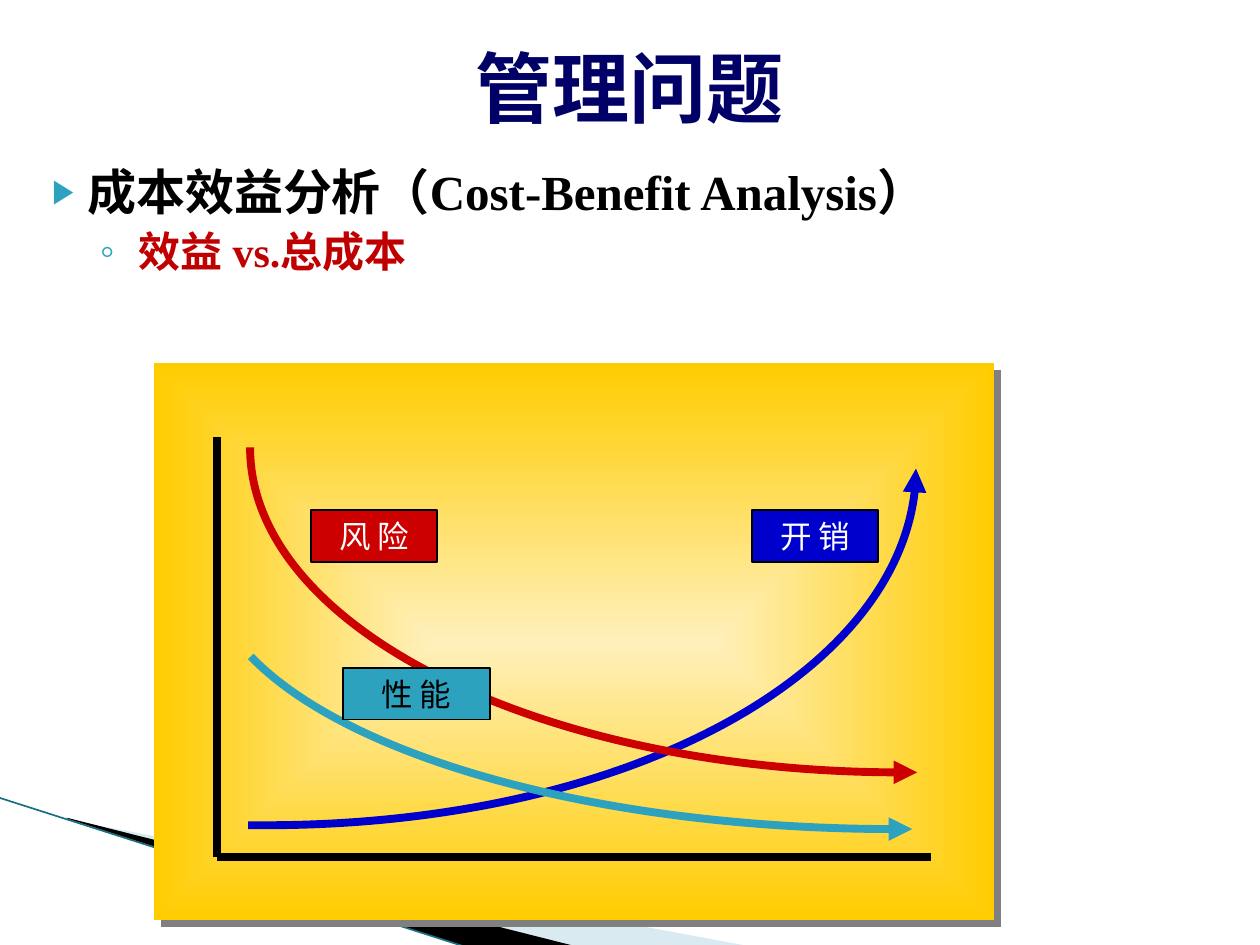
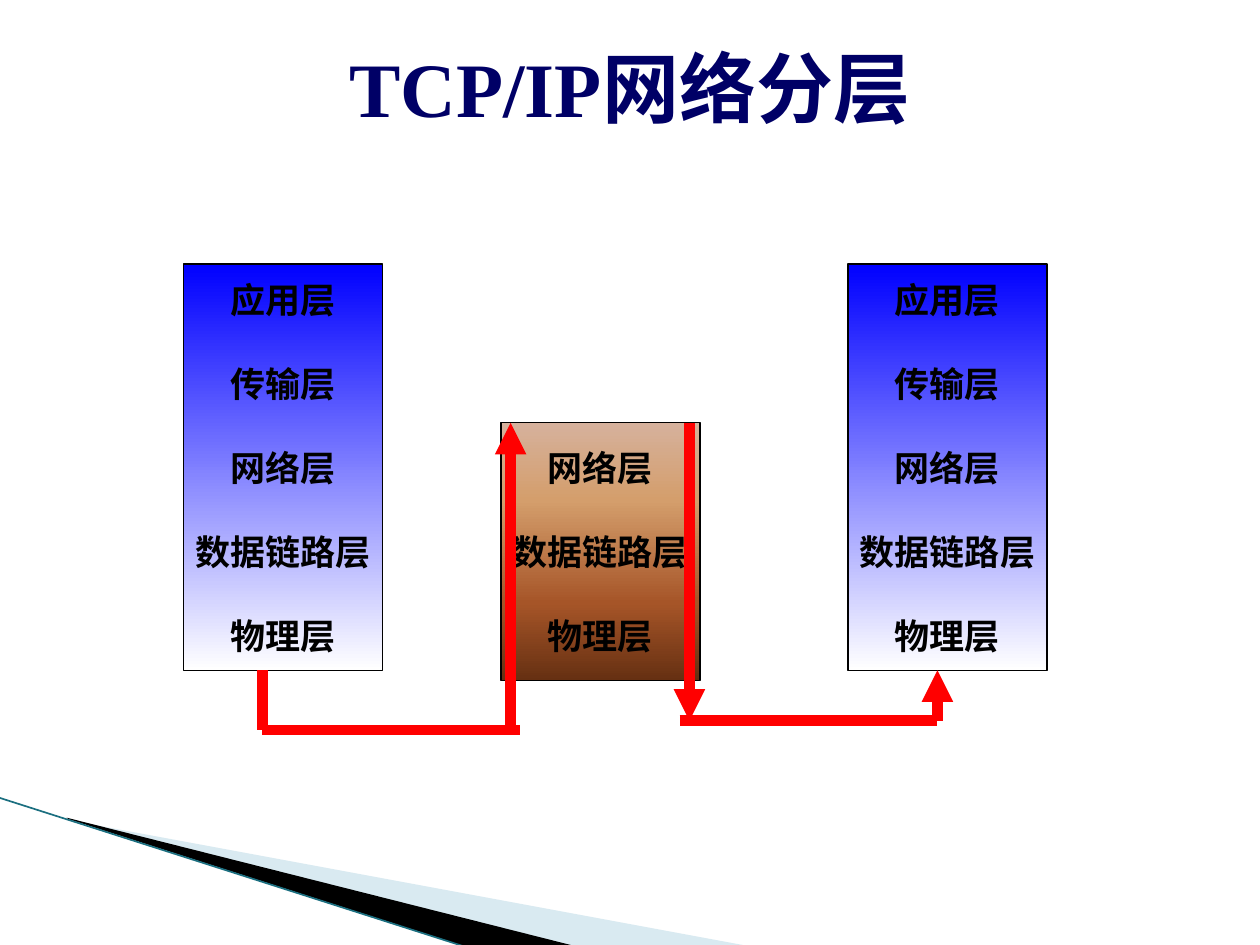
from dataclasses import dataclass
from typing import Any, Optional

from pptx import Presentation
from pptx.dml.color import RGBColor
from pptx.enum.shapes import MSO_CONNECTOR, MSO_SHAPE
from pptx.enum.text import MSO_ANCHOR, PP_ALIGN
from pptx.oxml import parse_xml
from pptx.oxml.ns import nsdecls, qn
from pptx.oxml.xmlchemy import OxmlElement
from pptx.util import Emu, Inches, Pt

SLIDE_WIDTH = Inches(10)
SLIDE_HEIGHT = Inches(7.5)
COLUMNS = 100
ROWS = 75

RECTANGLE = MSO_SHAPE.RECTANGLE
STRAIGHT = MSO_CONNECTOR.STRAIGHT
MIDDLE = MSO_ANCHOR.MIDDLE
TOP = MSO_ANCHOR.TOP
CENTER = PP_ALIGN.CENTER
LEFT = PP_ALIGN.LEFT

BLACK = RGBColor(0x00, 0x00, 0x00)
WHITE = RGBColor(0xFF, 0xFF, 0xFF)
NAVY = RGBColor(0x00, 0x00, 0x66)
TEAL = RGBColor(0x2D, 0xA2, 0xBF)
DARK_TEAL = RGBColor(0x1B, 0x6F, 0x80)
PALE_BLUE = RGBColor(0xA0, 0xCB, 0xDC)
CRIMSON = RGBColor(0xC0, 0x00, 0x00)
COST_BLUE = RGBColor(0x00, 0x00, 0xCC)
RISK_RED = RGBColor(0xCC, 0x00, 0x00)
ROUTE_RED = RGBColor(0xFF, 0x00, 0x00)
SHADOW_GRAY = RGBColor(0x80, 0x80, 0x80)
CREAM = RGBColor(0xFF, 0xF0, 0xBB)
GOLD = RGBColor(0xFF, 0xCC, 0x00)
HOST_BLUE = RGBColor(0x00, 0x00, 0xFF)
SAND = RGBColor(0xD6, 0xB1, 0x9C)
TAN = RGBColor(0xD4, 0x9E, 0x6C)
RUST = RGBColor(0xA6, 0x55, 0x28)
BROWN = RGBColor(0x66, 0x30, 0x12)

SERIF = "Times New Roman"
MONO = "Courier New"
SANS = "Arial"
COMIC = "Comic Neue"

LAYERS = ("应用层", "传输层", "网络层", "数据链路层", "物理层")
LINEAR = '<a:lin ang="5400000" scaled="1"/>'
FROM_CENTER = ('<a:path path="shape"><a:fillToRect l="50000" t="50000" '
               'r="50000" b="50000"/></a:path>')
MOVE = "moveTo"
LINE = "lnTo"
CURVE = "cubicBezTo"
CLOSE = "close"

Point = tuple[float, float]
Stops = tuple[tuple[int, RGBColor], ...]
Outline = tuple[tuple[str, tuple[Point, ...]], ...]


@dataclass(frozen=True)
class Box:
    column: float
    row: float
    columns: float
    rows: float

    def place(self) -> tuple[Emu, Emu, Emu, Emu]:
        return (across(self.column), down(self.row),
                across(self.columns), down(self.rows))


@dataclass(frozen=True)
class Bullet:
    character: str
    margin: float
    hanging: float
    percent: int


@dataclass(frozen=True)
class Wedge:
    frame: Box
    corners: tuple[Point, ...]
    color: RGBColor
    opacity: int


@dataclass(frozen=True)
class Trend:
    name: str
    color: RGBColor
    text_color: RGBColor
    label: Box
    frame: Box
    outline: Outline


@dataclass(frozen=True)
class LayerStack:
    box: Box
    layers: tuple[str, ...]
    stops: Stops


@dataclass(frozen=True)
class Segment:
    start: Point
    end: Point
    arrow: bool = False


WEDGES = (
    Wedge(Box(7.8, 54.7, 41.6, 15.8),
          ((5.5, 65.1), (59.5, 75.1), (45.6, 75.1), (5.5, 65)), PALE_BLUE, 40),
    Wedge(Box(-0.6, 63.3, 41.6, 9.2),
          ((5.3, 64.9), (45.7, 75.1), (37.2, 75.2), (5.4, 65)), BLACK, 100),
)
EDGE = Segment((-0.1, 63.3), (37.1, 75.2))

PLOT = Box(12.2, 28.8, 66.7, 44.2)
ORIGIN = (17.2, 68)
AXES = (Segment((17.2, 34.7), ORIGIN), Segment(ORIGIN, (73.9, 68)))
TRENDS = (
    Trend("开 销", COST_BLUE, WHITE, Box(59.7, 40.5, 10, 4.1),
          Box(19.7, 37.2, 53, 28.3),
          ((MOVE, ((19.7, 65.5),)), (LINE, ((21, 65.5),)),
           (CURVE, ((49.6, 65.5), (72.7, 52.8), (72.7, 37.2))))),
    Trend("风 险", RISK_RED, WHITE, Box(24.7, 40.5, 10, 4.1),
          Box(19.85, 35.5, 53, 25.8),
          ((MOVE, ((19.85, 35.5),)),
           (CURVE, ((19.85, 49.8), (43, 61.3), (71.5, 61.3))),
           (LINE, ((72.8, 61.3),)))),
    Trend("性 能", TEAL, BLACK, Box(27.2, 53, 11.7, 4.1),
          Box(19.9, 44.9, 52.5, 20.8),
          ((MOVE, ((19.9, 52.1),)),
           (CURVE, ((27.8, 60.3), (48.2, 65.8), (71, 65.8))),
           (LINE, ((72.4, 65.8),)))),
)

HOST_STOPS = ((0, HOST_BLUE), (100, WHITE))
ROUTER_STOPS = ((0, SAND), (30, TAN), (70, RUST), (100, BROWN))
STACKS = (
    LayerStack(Box(14.55, 20.95, 15.8, 32.25), LAYERS, HOST_STOPS),
    LayerStack(Box(67.3, 20.95, 15.8, 32.25), LAYERS, HOST_STOPS),
    LayerStack(Box(39.75, 33.55, 15.8, 20.45), LAYERS[2:], ROUTER_STOPS),
)
ROUTE = (
    Segment((20.83, 53.2), (20.83, 57.95)),
    Segment((20.83, 57.95), (41.3, 57.95)),
    Segment((40.53, 57.95), (40.53, 33.57), arrow=True),
    Segment((54.72, 33.57), (54.72, 57.2), arrow=True),
    Segment((53.93, 57.2), (74.4, 57.2)),
    Segment((74.4, 57.2), (74.4, 53.2), arrow=True),
)


def across(columns: float) -> Emu:
    return Emu(round(SLIDE_WIDTH * columns / COLUMNS))


def down(rows: float) -> Emu:
    return Emu(round(SLIDE_HEIGHT * rows / ROWS))


def add_arrowhead(line: Any) -> None:
    arrow = OxmlElement("a:tailEnd")
    arrow.set("type", "triangle")
    line._get_or_add_ln().append(arrow)


def add_segment(slide: Any, segment: Segment, color: RGBColor, width: float) -> None:
    connector = slide.shapes.add_connector(
        STRAIGHT, across(segment.start[0]), down(segment.start[1]),
        across(segment.end[0]), down(segment.end[1]))
    connector.line.color.rgb = color
    connector.line.width = Pt(width)
    if segment.arrow:
        add_arrowhead(connector.line)
    connector._element.spPr.append(OxmlElement("a:effectLst"))


def add_outline(slide: Any, frame: Box, outline: Outline) -> Any:
    left, top, width, height = frame.place()
    builder = slide.shapes.build_freeform(left, top)
    builder.add_line_segments([(left + width, top + height)], close=False)
    shape = builder.convert_to_shape()
    shape.shadow.inherit = False
    steps = ""
    for command, points in outline:
        marks = "".join(f'<a:pt x="{across(x) - left}" y="{down(y) - top}"/>'
                        for x, y in points)
        steps += f"<a:{command}>{marks}</a:{command}>"
    geometry = shape._element.spPr.find(qn("a:custGeom"))
    geometry.replace(geometry.find(qn("a:pathLst")), parse_xml(
        f'<a:pathLst {nsdecls("a")}><a:path w="{width}" h="{height}">'
        f'{steps}</a:path></a:pathLst>'))
    return shape


def add_wedge(slide: Any, wedge: Wedge) -> None:
    first, *others = wedge.corners
    outline = ((MOVE, (first,)), *((LINE, (corner,)) for corner in others), (CLOSE, ()))
    shape = add_outline(slide, wedge.frame, outline)
    shape.fill.solid()
    shape.fill.fore_color.rgb = wedge.color
    shape.line.fill.background()
    if wedge.opacity < 100:
        alpha = OxmlElement("a:alpha")
        alpha.set("val", str(wedge.opacity * 1000))
        shape._element.spPr.find(qn("a:solidFill"))[0].append(alpha)


def add_rectangle(slide: Any, box: Box, line_width: float = 0) -> Any:
    shape = slide.shapes.add_shape(RECTANGLE, *box.place())
    shape.shadow.inherit = False
    if line_width:
        shape.line.color.rgb = BLACK
        shape.line.width = Pt(line_width)
    else:
        shape.line.fill.background()
    return shape


def fill_gradient(shape: Any, stops: Stops, direction: str) -> None:
    marks = "".join(f'<a:gs pos="{percent * 1000}"><a:srgbClr val="{color}"/></a:gs>'
                    for percent, color in stops)
    gradient = parse_xml(f'<a:gradFill {nsdecls("a")} rotWithShape="1">'
                         f'<a:gsLst>{marks}</a:gsLst>{direction}</a:gradFill>')
    shape.fill.background()
    properties = shape._element.spPr
    properties.replace(properties.find(qn("a:noFill")), gradient)


def add_bullet(paragraph: Any, bullet: Bullet) -> None:
    properties = paragraph._p.get_or_add_pPr()
    properties.set("marL", str(Inches(bullet.margin)))
    properties.set("indent", str(-Inches(bullet.hanging)))
    for markup in (f'<a:buClr {nsdecls("a")}><a:srgbClr val="{TEAL}"/></a:buClr>',
                   f'<a:buSzPct {nsdecls("a")} val="{bullet.percent * 1000}"/>',
                   f'<a:buFont {nsdecls("a")} typeface="{SANS}"/>',
                   f'<a:buChar {nsdecls("a")} char="{bullet.character}"/>'):
        properties.append(parse_xml(markup))


def write_text(shape: Any, text: str, *, size: float, font: str, color: RGBColor,
               bold: bool = False, align: Any = CENTER, anchor: Any = MIDDLE,
               wrap: bool = True, append: bool = False, space_before: float = 0,
               bullet: Optional[Bullet] = None) -> None:
    frame = shape.text_frame
    frame.word_wrap = wrap
    frame.vertical_anchor = anchor
    paragraph = frame.add_paragraph() if append else frame.paragraphs[0]
    paragraph.alignment = align
    paragraph.space_before = Pt(space_before)
    if bullet:
        add_bullet(paragraph, bullet)
    run = paragraph.add_run()
    run.text = text
    run.font.size = Pt(size)
    run.font.name = font
    run.font.bold = bold
    run.font.color.rgb = color


def start_slide(presentation: Any, title: str, title_font: str) -> Any:
    slide = presentation.slides.add_slide(presentation.slide_layouts[6])
    for wedge in WEDGES:
        add_wedge(slide, wedge)
    add_segment(slide, EDGE, DARK_TEAL, 0.95)
    heading = slide.shapes.add_textbox(*Box(1.95, 2.2, 96.1, 9.3).place())
    write_text(heading, title, size=44, font=title_font, color=NAVY, bold=True)
    return slide


def add_trend(slide: Any, trend: Trend) -> None:
    curve = add_outline(slide, trend.frame, trend.outline)
    curve.fill.background()
    curve.line.color.rgb = trend.color
    curve.line.width = Pt(4.5)
    add_arrowhead(curve.line)
    label = add_rectangle(slide, trend.label, line_width=1)
    label.fill.solid()
    label.fill.fore_color.rgb = trend.color
    write_text(label, trend.name, size=18, font=SANS, color=trend.text_color)


def add_plot_panel(slide: Any) -> None:
    panel = add_rectangle(slide, PLOT)
    fill_gradient(panel, ((0, CREAM), (100, GOLD)), FROM_CENTER)
    panel._element.spPr.find(qn("a:effectLst")).append(parse_xml(
        f'<a:outerShdw {nsdecls("a")} dist="{Pt(5.7)}" dir="2700000" algn="ctr" '
        f'rotWithShape="0"><a:srgbClr val="{SHADOW_GRAY}"/></a:outerShdw>'))


def build_management_slide(presentation: Any) -> None:
    slide = start_slide(presentation, "管理问题", MONO)
    body = slide.shapes.add_textbox(*Box(1.95, 12.3, 96.1, 55.8).place())
    write_text(body, "成本效益分析（Cost-Benefit Analysis）", size=28, font=SERIF,
               color=BLACK, bold=True, align=LEFT, anchor=TOP,
               bullet=Bullet("▶", 0.4, 0.28, 68))
    write_text(body, "效益 vs.总成本", size=24, font=SERIF, color=CRIMSON, bold=True,
               align=LEFT, anchor=TOP, append=True, space_before=3.2,
               bullet=Bullet("◦", 0.81, 0.31, 100))
    add_plot_panel(slide)
    for axis in AXES:
        add_segment(slide, axis, BLACK, 4.5)
    for trend in TRENDS:
        add_trend(slide, trend)


def build_network_slide(presentation: Any) -> None:
    slide = start_slide(presentation, "TCP/IP网络分层", SERIF)
    for stack in STACKS:
        shape = add_rectangle(slide, stack.box, line_width=0.75)
        fill_gradient(shape, stack.stops, LINEAR)
        for index, layer in enumerate(stack.layers):
            write_text(shape, layer, size=20, font=COMIC, color=BLACK, bold=True,
                       wrap=False, append=index > 0, space_before=24 if index else 0)
    for segment in ROUTE:
        add_segment(slide, segment, ROUTE_RED, 6)


def main() -> None:
    presentation = Presentation()
    presentation.slide_width = SLIDE_WIDTH
    presentation.slide_height = SLIDE_HEIGHT
    build_management_slide(presentation)
    build_network_slide(presentation)
    presentation.save("out.pptx")


if __name__ == "__main__":
    main()
